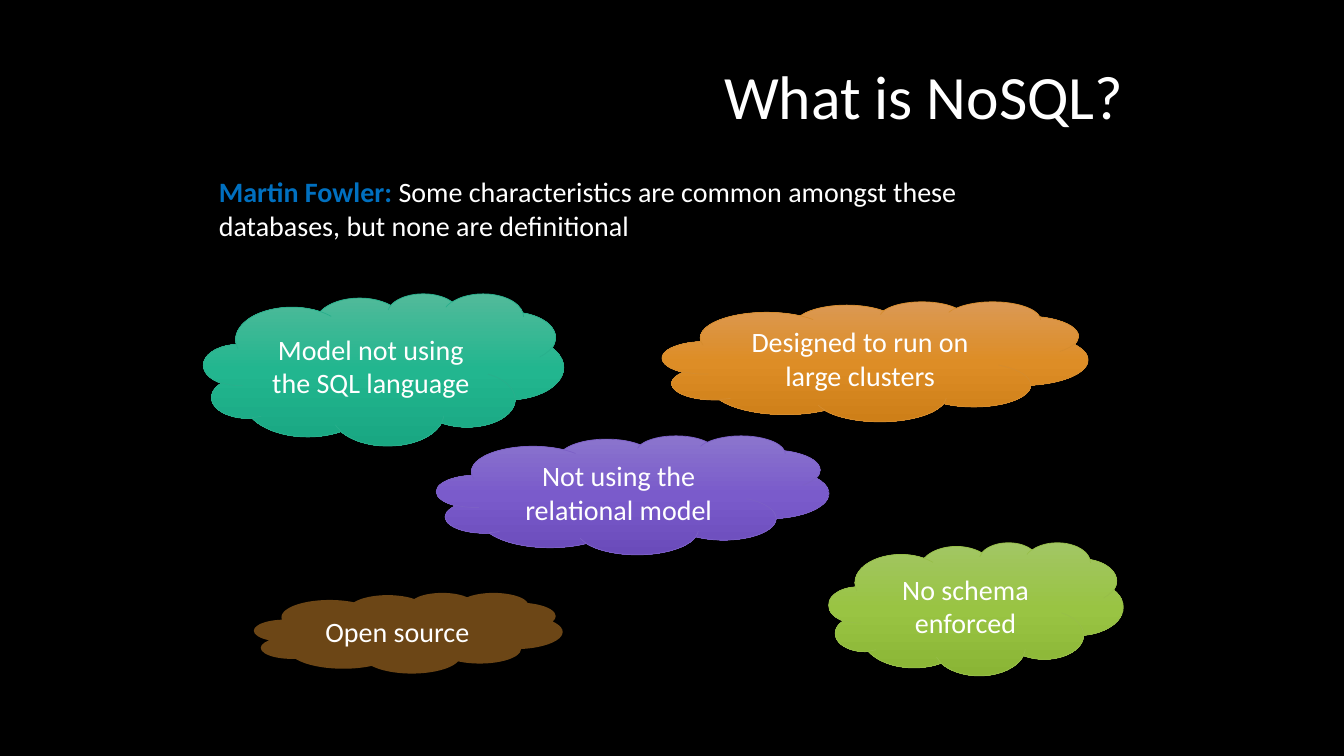
import copy
from dataclasses import dataclass

import lxml.etree
import pptx
import pptx.dml.color
import pptx.enum.shapes
import pptx.enum.text
import pptx.oxml.ns
import pptx.util

Inches = pptx.util.Inches
Pt = pptx.util.Pt


@dataclass(frozen=True)
class Theme:
    font: str = "Calibri"
    title_size: int = 44
    text_size: int = 20
    background: str = "000000"
    text: str = "FFFFFF"
    speaker: str = "0070C0"
    green: tuple = ("A2C664", "99C443", "8AB535")
    orange: tuple = ("DB9955", "DD8D26", "CE7F18")
    purple: tuple = ("8B75CD", "7A5BCB", "6A4BBA")
    teal: tuple = ("52BA9A", "22B68F", "19A782")
    brown: tuple = ("6C4616",)
    green_edge: str = "97BE49"
    orange_edge: str = "D58C2E"
    purple_edge: str = "7C60C6"
    teal_edge: str = "29AF8C"


def rgb(value):
    return pptx.dml.color.RGBColor.from_string(value)


class SlideBuilder:
    def __init__(self, deck, theme):
        self.theme = theme
        self.slide = deck.slides.add_slide(deck.slide_layouts[1])
        fill = self.slide.background.fill
        fill.solid()
        fill.fore_color.rgb = rgb(theme.background)

    def place(self, shape, left, top, width, height):
        shape.left, shape.top = Inches(left), Inches(top)
        shape.width, shape.height = Inches(width), Inches(height)

    def style(self, span, size, color, bold=False):
        span.font.name = self.theme.font
        span.font.size = Pt(size)
        span.font.bold = bold
        span.font.color.rgb = rgb(color)

    def title(self, text, *area):
        box = self.slide.shapes.title
        self.place(box, *area)
        box.text_frame.text = text
        box.text_frame.vertical_anchor = pptx.enum.text.MSO_ANCHOR.MIDDLE
        para = box.text_frame.paragraphs[0]
        para.alignment = pptx.enum.text.PP_ALIGN.CENTER
        self.style(para.runs[0], self.theme.title_size, self.theme.text)

    def quote(self, speaker, text, *area):
        box = self.slide.placeholders[1]
        self.place(box, *area)
        box.text_frame.auto_size = pptx.enum.text.MSO_AUTO_SIZE.SHAPE_TO_FIT_TEXT
        para = box.text_frame.paragraphs[0]
        properties = para._p.get_or_add_pPr()
        properties.set("marL", "0")
        properties.set("indent", "0")
        lxml.etree.SubElement(properties, pptx.oxml.ns.qn("a:buNone"))
        para.space_before = Pt(0)
        para.text = speaker
        self.style(para.runs[0], self.theme.text_size, self.theme.speaker, bold=True)
        span = para.add_run()
        span.text = text
        self.style(span, self.theme.text_size, self.theme.text)

    def paint(self, shape, colors):
        fill = shape.fill
        if len(colors) == 1:
            fill.solid()
            fill.fore_color.rgb = rgb(colors[0])
            return
        fill.gradient()
        fill.gradient_angle = 270
        stop_list = shape._element.spPr.find(".//" + pptx.oxml.ns.qn("a:gsLst"))
        stop_list.append(copy.deepcopy(stop_list[0]))
        for index, (stop, color) in enumerate(zip(fill.gradient_stops, colors)):
            stop.position = index / (len(colors) - 1)
            stop.color.rgb = rgb(color)

    def cloud(self, text, colors, edge, *area):
        shape = self.slide.shapes.add_shape(
            pptx.enum.shapes.MSO_SHAPE.CLOUD, *(Inches(length) for length in area))
        shape.shadow.inherit = False
        self.paint(shape, colors)
        if edge:
            shape.line.color.rgb = rgb(edge)
            shape.line.width = Pt(0.5)
        else:
            shape.line.fill.background()
        frame = shape.text_frame
        frame.word_wrap = True
        frame.vertical_anchor = pptx.enum.text.MSO_ANCHOR.MIDDLE
        frame.text = text
        para = frame.paragraphs[0]
        para.alignment = pptx.enum.text.PP_ALIGN.CENTER
        self.style(para.runs[0], self.theme.text_size, self.theme.text)


def main():
    deck = pptx.Presentation()
    deck.slide_width, deck.slide_height = Inches(13.33), Inches(7.5)
    theme = Theme()
    page = SlideBuilder(deck, theme)
    page.title("What is NoSQL?", 5, 0.32, 8.33, 1.25)
    page.quote(
        "Martin Fowler: ",
        "Some characteristics are common amongst these databases, but none are definitional",
        2.07, 1.68, 8.35, 0.77)
    clouds = [
        ("No schema enforced", theme.green, theme.green_edge, 8.22, 5.38, 2.92, 1.32),
        ("Open source", theme.brown, None, 2.52, 5.88, 3.06, 0.8),
        ("Designed to run on large clusters", theme.orange, theme.orange_edge,
         6.57, 2.99, 4.22, 1.19),
        ("Not using the relational model", theme.purple, theme.purple_edge,
         4.33, 4.32, 3.89, 1.18),
        ("Model not using the SQL language", theme.teal, theme.teal_edge,
         2.02, 2.91, 3.57, 1.51),
    ]
    for cloud in clouds:
        page.cloud(*cloud)
    deck.save("out.pptx")


if __name__ == "__main__":
    main()
